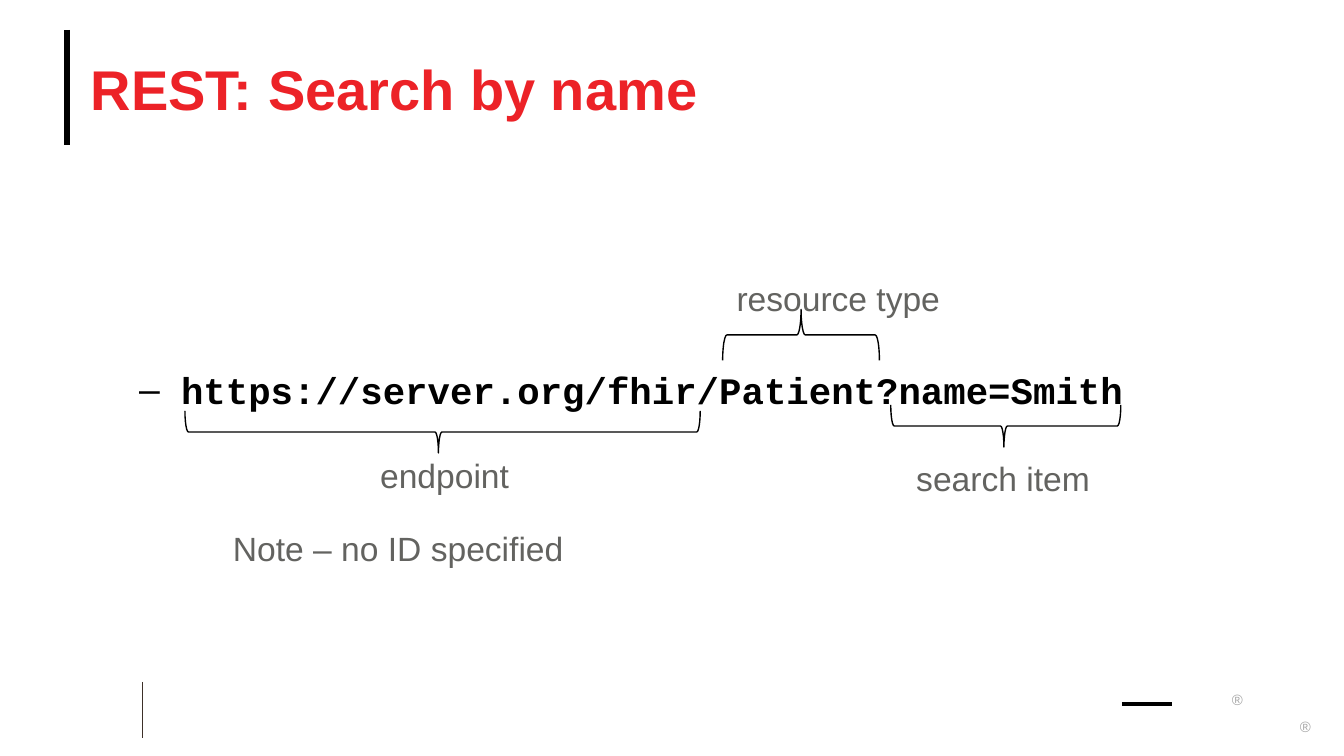
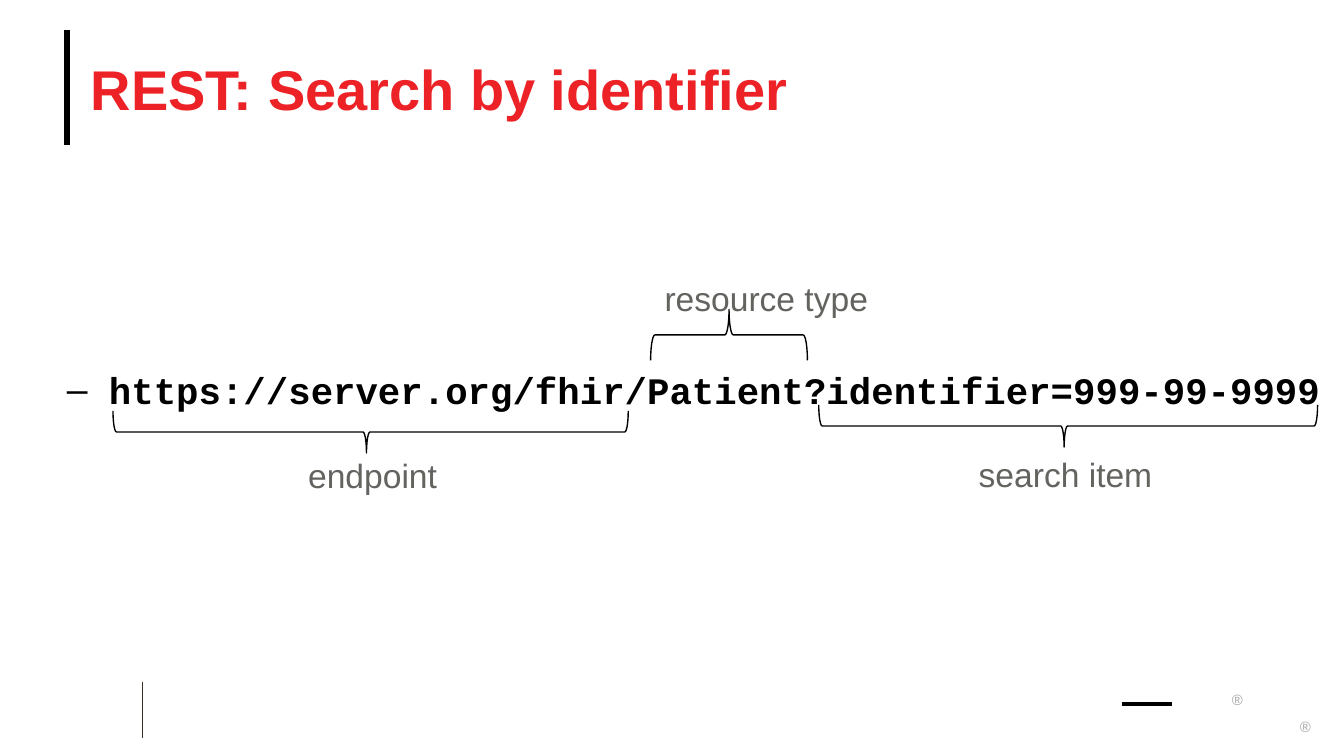
import pptx
import pptx.util
import pptx.dml.color
import pptx.enum.shapes
import pptx.enum.text
import pptx.oxml.ns
from lxml import etree

COLORS = {"title": "EC2227", "label": "636360", "ink": "000000",
          "rule": "3D3029", "mark": "A6A6A6"}
SANS, MONO = "Arial", "Courier New"

SLIDES = [
    {"title": "REST: Search by name",
     "url": ("https://server.org/fhir", "/", "Patient", "?", "name=Smith"),
     "box": (72, 367, 1136, 152), "search_y": 451,
     "note": "Note – no ID specified"},
    {"title": "REST: Search by identifier",
     "url": ("https://server.org/fhir", "/", "Patient", "?", "identifier=999-99-9999"),
     "box": (0, 367, 1326, 152), "search_y": 447,
     "note": None},
]

BRACES = [
    {"label": "endpoint", "part": 0, "rot": 270, "mid": 0.492, "y": 432, "depth": 42,
     "nudge": 4, "extra": 0, "label_w": 157, "label_y": 448, "label_dx": 3},
    {"label": "resource type", "part": 2, "rot": 90, "mid": 0.5, "y": 335, "depth": 51,
     "nudge": 4, "extra": 0, "label_w": 233, "label_y": 271, "label_dx": 39},
    {"label": "search item", "part": 4, "rot": 270, "mid": 0.492, "y": 426, "depth": 42,
     "nudge": -7, "extra": 6, "label_w": 203, "label_y": None, "label_dx": -1},
]

LINES = [
    (67, 30, 67, 145, "ink", 3.25),
    (143, 682, 143, 738, "rule", 0.5),
    (1122, 704, 1172, 704, "ink", 2),
]
MARKS = [(1232, 691, 15, 12), (1300, 718, 12, 12)]

TITLE_BOX = (91, 31, 1210, 115)
NOTE_BOX = (220, 521, 360, 54)
LABEL_H = 54
URL_INDENT, URL_HANG = 109, 42
CHAR_W = 22.4
PX = 914400 / 134.4


def px(n):
    return pptx.util.Emu(round(n * PX))


def rgb(name):
    return pptx.dml.color.RGBColor.from_string(COLORS[name])


def add_text(slide, box, text, size, color, font=SANS, bold=False, wrap=True, insets=(0, 0)):
    sp = slide.shapes.add_textbox(*map(px, box))
    tf = sp.text_frame
    tf.word_wrap = wrap
    tf.margin_left = tf.margin_right = px(insets[0])
    tf.margin_top = tf.margin_bottom = px(insets[1])
    r = tf.paragraphs[0].add_run()
    r.text = text
    r.font.name = font
    r.font.size = pptx.util.Pt(size)
    r.font.bold = bold
    r.font.color.rgb = rgb(color)
    return tf


def add_label(slide, box, text):
    add_text(slide, box, text, 18, "label", wrap=False, insets=(13, 7))


def add_line(slide, x1, y1, x2, y2, color, width):
    c = slide.shapes.add_connector(pptx.enum.shapes.MSO_CONNECTOR.STRAIGHT,
                                   *map(px, (x1, y1, x2, y2)))
    c.line.color.rgb = rgb(color)
    c.line.width = pptx.util.Pt(width)
    etree.SubElement(c._element.spPr, pptx.oxml.ns.qn("a:effectLst"))


def add_frame(slide, title):
    for line in LINES:
        add_line(slide, *line)
    for box in MARKS:
        add_text(slide, box, "®", 8, "mark", wrap=False)
    tf = add_text(slide, TITLE_BOX, title, 30, "title", bold=True)
    tf.vertical_anchor = pptx.enum.text.MSO_ANCHOR.MIDDLE


def add_url(slide, box, url):
    tf = add_text(slide, box, url, 20, "ink", font=MONO, bold=True)
    tf.vertical_anchor = pptx.enum.text.MSO_ANCHOR.TOP
    pPr = tf.paragraphs[0]._p.get_or_add_pPr()
    pPr.set("marL", str(px(URL_INDENT)))
    pPr.set("indent", str(px(-URL_HANG)))
    etree.SubElement(pPr, pptx.oxml.ns.qn("a:buFont"), typeface=SANS)
    etree.SubElement(pPr, pptx.oxml.ns.qn("a:buChar"), char="–")


def add_brace(slide, data, brace):
    start = len("".join(data["url"][:brace["part"]]))
    length = len(data["url"][brace["part"]]) * CHAR_W + brace["extra"]
    left = data["box"][0] + URL_INDENT + start * CHAR_W + brace["nudge"]
    center = left + length / 2
    depth = brace["depth"]
    sp = slide.shapes.add_shape(pptx.enum.shapes.MSO_SHAPE.LEFT_BRACE,
                                px(center - depth / 2), px(brace["y"] - length / 2),
                                px(depth), px(length))
    sp.rotation = brace["rot"]
    sp.adjustments[0] = 0.083
    sp.adjustments[1] = brace["mid"]
    sp.shadow.inherit = False
    sp.fill.background()
    sp.line.color.rgb = rgb("ink")
    sp.line.width = pptx.util.Pt(0.75)
    w = brace["label_w"]
    y = brace["label_y"] or data["search_y"]
    add_label(slide, (center + brace["label_dx"] - w / 2, y, w, LABEL_H), brace["label"])


def main():
    prs = pptx.Presentation()
    prs.slide_width, prs.slide_height = px(1344), px(756)
    for data in SLIDES:
        slide = prs.slides.add_slide(prs.slide_layouts[6])
        add_frame(slide, data["title"])
        add_url(slide, data["box"], "".join(data["url"]))
        for brace in BRACES:
            add_brace(slide, data, brace)
        if data["note"]:
            add_label(slide, NOTE_BOX, data["note"])
    prs.save("out.pptx")


if __name__ == "__main__":
    main()
